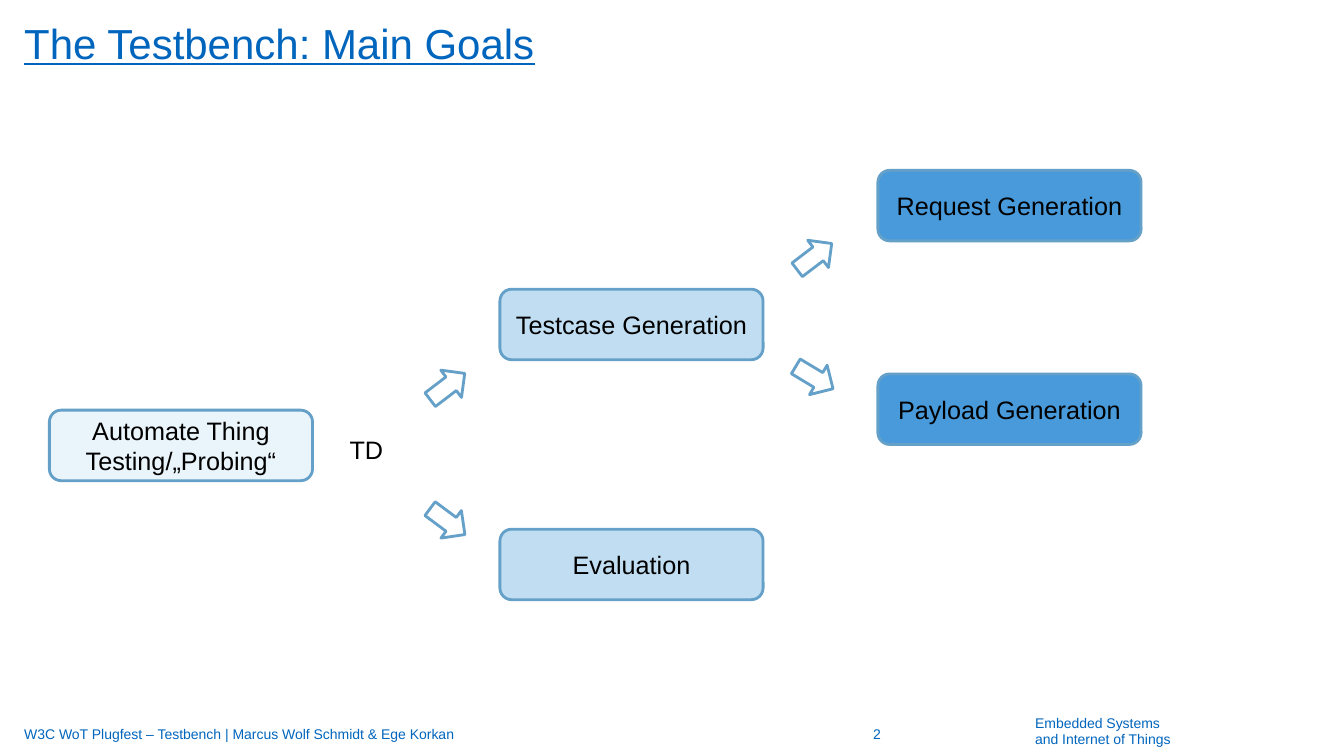
import pptx
import pptx.util
import pptx.dml.color
import pptx.enum.shapes
import pptx.enum.text
from dataclasses import dataclass

Pt = pptx.util.Pt
RGB = pptx.dml.color.RGBColor.from_string
SHAPES = pptx.enum.shapes.MSO_SHAPE
ALIGN = pptx.enum.text.PP_ALIGN
ANCHOR = pptx.enum.text.MSO_ANCHOR


@dataclass(frozen=True)
class Theme:
    font: str = "Arial"
    brand: str = "0065BD"
    text: str = "000000"
    outline: str = "64A0C8"
    paper: str = "FFFFFF"
    levels: tuple = ("EAF4FB", "C1DDF2", "489ADA")
    title_size: int = 30
    label_size: int = 18
    footer_size: int = 10


theme = Theme()


def write(frame, lines, size, color, align=ALIGN.LEFT, anchor=ANCHOR.TOP, insets=(7.2, 3.6)):
    """Fill a text frame, one paragraph per line; insets are (sides, top and bottom)."""
    frame.word_wrap = True
    frame.auto_size = pptx.enum.text.MSO_AUTO_SIZE.NONE
    frame.vertical_anchor = anchor
    frame.margin_left = frame.margin_right = Pt(insets[0])
    frame.margin_top = frame.margin_bottom = Pt(insets[1])
    frame.text = "\n".join(lines)
    for paragraph in frame.paragraphs:
        paragraph.alignment = align
        paragraph.font.name = theme.font
        paragraph.font.size = Pt(size)
        paragraph.font.color.rgb = RGB(color)


def add_outlined(kind, left, top, width, height, fill):
    shape = slide.shapes.add_shape(kind, Pt(left), Pt(top), Pt(width), Pt(height))
    shape.shadow.inherit = False
    shape.fill.solid()
    shape.fill.fore_color.rgb = RGB(fill)
    shape.line.color.rgb = RGB(theme.outline)
    shape.line.width = Pt(2)
    return shape


deck = pptx.Presentation()
deck.slide_width, deck.slide_height = Pt(960), Pt(540)
slide = deck.slides.add_slide(deck.slide_layouts[5])

# Title
title = slide.shapes.title
title.left, title.top, title.width, title.height = Pt(17.3), Pt(16.6), Pt(893.5), Pt(32.4)
write(title.text_frame, ["The Testbench: Main Goals"], theme.title_size, theme.brand, insets=(0, 0))
heading = title.text_frame.paragraphs[0]
heading.line_spacing = Pt(32)
heading.font.underline = True

# Goals, one column per level
column_lefts = (35.3, 357.1, 627.1)
goals = [
    (0, 293, "Automate Thing Testing/„Probing“"),
    (1, 206.6, "Testcase Generation"),
    (1, 378, "Evaluation"),
    (2, 121.7, "Request Generation"),
    (2, 267.1, "Payload Generation"),
]
for level, top, label in goals:
    goal = add_outlined(SHAPES.ROUNDED_RECTANGLE, column_lefts[level], top, 188, 50.4, theme.levels[level])
    write(goal.text_frame, [label], theme.label_size, theme.text, ALIGN.CENTER, ANCHOR.MIDDLE)

# Arrows between the levels
for left, top, angle in [(307.4, 260.6, 232.7), (307.4, 357.1, 306.6),
                         (569.5, 167.8, 232.7), (569.5, 254.2, 301)]:
    arrow = add_outlined(SHAPES.DOWN_ARROW, left, top, 24.5, 31, theme.paper)
    arrow.rotation = angle

# Thing Description label
description = slide.shapes.add_textbox(Pt(242.6), Pt(306.7), Pt(41.8), Pt(28.8))
write(description.text_frame, ["TD"], theme.label_size, theme.text)

# Footer
footers = [
    (17.3, 509.8, 548.6, 28.8, ["W3C WoT Plugfest – Testbench | Marcus Wolf Schmidt & Ege Korkan"],
     ALIGN.LEFT, ANCHOR.MIDDLE, 1),
    (581.8, 509.8, 89.3, 28.8, ["2"], ALIGN.CENTER, ANCHOR.MIDDLE, 1),
    (739.4, 511.2, 155.5, 23, ["Embedded Systems", "and Internet of Things"],
     ALIGN.LEFT, ANCHOR.TOP, 0.94),
]
for left, top, width, height, lines, align, anchor, spacing in footers:
    footer = slide.shapes.add_textbox(Pt(left), Pt(top), Pt(width), Pt(height))
    write(footer.text_frame, lines, theme.footer_size, theme.brand, align, anchor, insets=(0, 0))
    for paragraph in footer.text_frame.paragraphs:
        paragraph.line_spacing = float(spacing)

deck.save("out.pptx")
